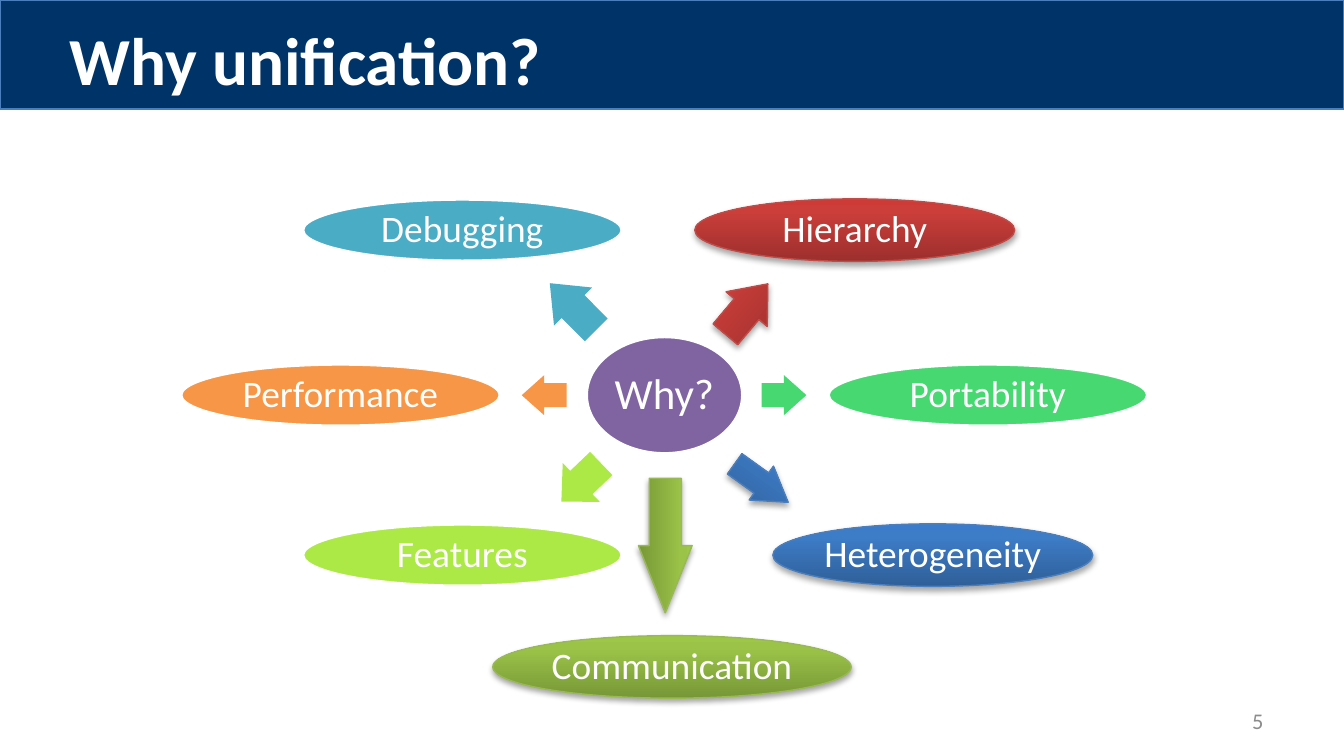
from lxml import etree
from pptx import Presentation
from pptx.dml.color import RGBColor
from pptx.enum.shapes import MSO_SHAPE
from pptx.enum.text import MSO_ANCHOR, PP_ALIGN
from pptx.oxml import parse_xml
from pptx.oxml.ns import nsdecls, qn
from pptx.util import Pt

RECTANGLE, OVAL, ARROW = MSO_SHAPE.RECTANGLE, MSO_SHAPE.OVAL, MSO_SHAPE.RIGHT_ARROW
TOP, MIDDLE = MSO_ANCHOR.TOP, MSO_ANCHOR.MIDDLE
LEFT, CENTER, RIGHT = PP_ALIGN.LEFT, PP_ALIGN.CENTER, PP_ALIGN.RIGHT

FONT = "Calibri"
WHITE, NAVY, BLUE_LINE, PURPLE, GRAY = "FFFFFF", "003367", "4B7EBC", "8064A2", "8C8C8C"
RED = ("9C2F2D", "CB3E3A", "CE3B37", "BF4C48")
BLUE = ("2F5F99", "3D7CC7", "3A7CCB", BLUE_LINE)
GREEN = ("779737", "9BC348", "9DC746", "98B955")

OVAL_WIDTH, OVAL_HEIGHT = 171.4, 33.5
UPPER, MIDLINE, LOWER = 123.3, 211.7, 297.4

REASONS = [
    ("Debugging", "4BACC6", (247.7, UPPER), OVAL_WIDTH, (307, 164.2), (35.3, 28.8), 225.1),
    ("Portability", "47D872", (529.2, MIDLINE), OVAL_WIDTH, (420, MIDLINE), (24, 21.4), 0),
    ("Features", "ACE946", (247.7, LOWER), OVAL_WIDTH, (311.4, 258.5), (29.5, 28.8), 136.3),
    ("Performance", "F79646", (182.4, MIDLINE), OVAL_WIDTH, (291.5, MIDLINE), (24, 21.4), 180),
    ("Hierarchy", RED, (457.9, UPPER), OVAL_WIDTH, (400, 165.6), (35.3, 28.8), 310.1),
    ("Heterogeneity", BLUE, (499.7, LOWER), OVAL_WIDTH, (407.9, 258.8), (35.3, 22.3), 35.7),
    ("Communication", GREEN, (360, 357.3), 192, (356.4, 292.3), (72, 28.8), 90),
]


def color(value):
    return RGBColor.from_string(value)


class Slide:
    def __init__(self, deck):
        self.page = deck.slides.add_slide(deck.slide_layouts[6])

    def set_text(self, box, text, size, shade, align, anchor, bold=False):
        frame = box.text_frame
        frame.text = text
        frame.vertical_anchor = anchor
        para = frame.paragraphs[0]
        para.alignment = align
        font = para.runs[0].font
        font.name, font.size, font.bold = FONT, Pt(size), bold
        font.color.rgb = color(shade)
        return frame

    def label(self, text, left, top, width, height, size, shade, align, anchor, bold=False):
        box = self.page.shapes.add_textbox(Pt(left), Pt(top), Pt(width), Pt(height))
        self.set_text(box, text, size, shade, align, anchor, bold).word_wrap = True

    def shape(self, kind, center, size, fill, line=None, weight=0.75):
        (x, y), (width, height) = center, size
        shape = self.page.shapes.add_shape(
            kind, Pt(x - width / 2), Pt(y - height / 2), Pt(width), Pt(height))
        shape.shadow.inherit = False
        if isinstance(fill, tuple):
            self.shade(shape, fill[:3])
            line, weight = fill[3], 0.75
        else:
            shape.fill.solid()
            shape.fill.fore_color.rgb = color(fill)
        if line:
            shape.line.color.rgb = color(line)
            shape.line.width = Pt(weight)
        else:
            shape.line.fill.background()
        return shape

    def shade(self, shape, shades):
        shape.fill.gradient()
        shape.fill.gradient_angle = 90
        properties = shape.element.spPr
        stops = properties.find(qn("a:gradFill")).find(qn("a:gsLst"))
        for stop in list(stops):
            stops.remove(stop)
        for position, value in zip((0, 80, 100), shades):
            stop = etree.SubElement(stops, qn("a:gs"), pos=str(position * 1000))
            etree.SubElement(stop, qn("a:srgbClr"), val=value)
        properties.find(qn("a:effectLst")).append(parse_xml(
            f'<a:outerShdw {nsdecls("a")} blurRad="{Pt(3.1)}" dist="{Pt(1.8)}" '
            'dir="5400000" rotWithShape="0"><a:srgbClr val="000000">'
            '<a:alpha val="35000"/></a:srgbClr></a:outerShdw>'))

    def oval(self, text, center, size, fill, text_size):
        shape = self.shape(OVAL, center, size, fill, WHITE, 2)
        frame = self.set_text(shape, text, text_size, WHITE, CENTER, MIDDLE)
        frame.word_wrap = False
        frame.margin_left = frame.margin_right = frame.margin_top = frame.margin_bottom = 0
        frame.paragraphs[0].line_spacing = 0.9

    def arrow(self, center, size, fill, rotation):
        shape = self.shape(ARROW, center, size, fill)
        shape.adjustments[0] = 0.6
        shape.adjustments[1] = size[0] / 2 / size[1]
        shape.rotation = rotation


def main():
    deck = Presentation()
    deck.slide_width, deck.slide_height = Pt(720), Pt(405)
    slide = Slide(deck)
    slide.shape(RECTANGLE, (360, 29.2), (720, 58.4), NAVY, BLUE_LINE)
    slide.label("Why unification?", 30.2, 6.5, 660, 51, 36, WHITE, LEFT, TOP, True)
    slide.oval("Why?", (356, MIDLINE), (84, 63), PURPLE, 23)
    for text, fill, center, width, arrow_center, arrow_size, rotation in REASONS:
        slide.arrow(arrow_center, arrow_size, fill, rotation)
        slide.oval(text, center, (width, OVAL_HEIGHT), fill, 20)
    slide.label("5", 516, 375.4, 168, 21.6, 12, GRAY, RIGHT, MIDDLE)
    deck.save("out.pptx")


if __name__ == "__main__":
    main()
